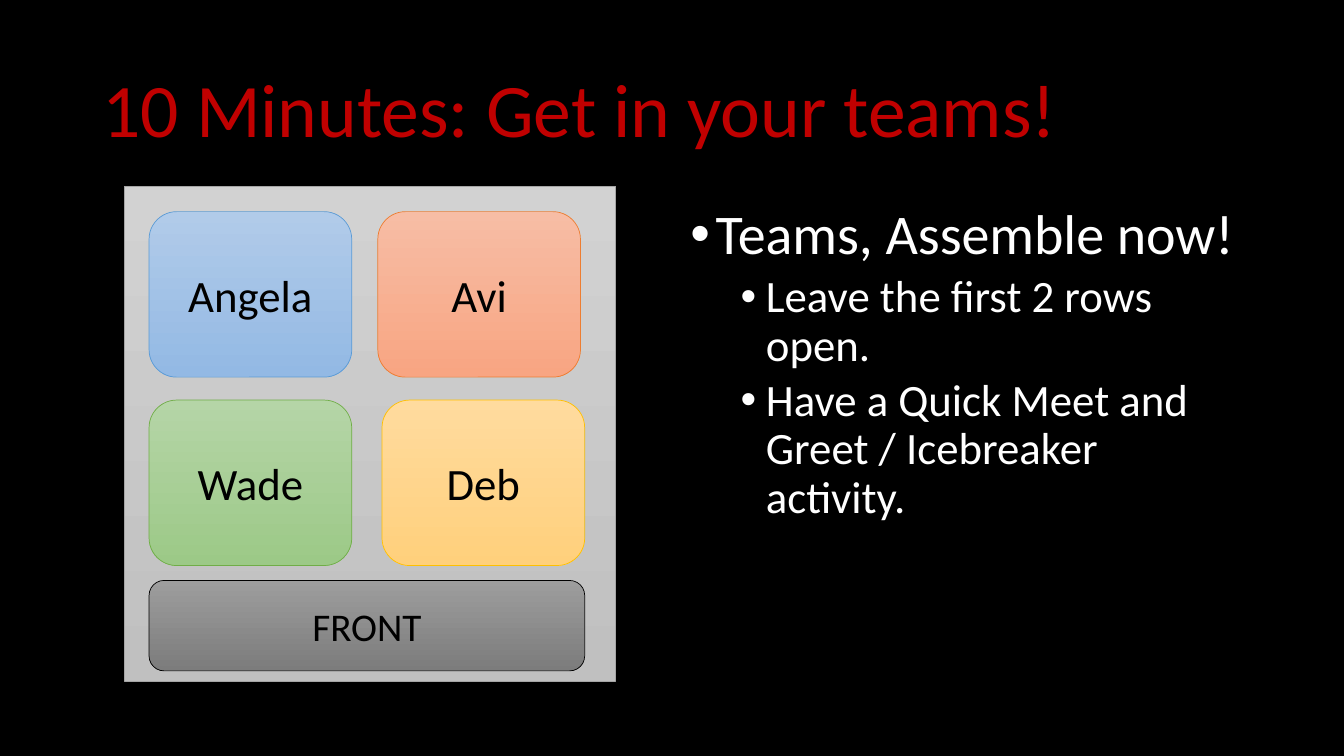
from lxml import etree
from pptx import Presentation
from pptx.dml.color import RGBColor
from pptx.enum.shapes import MSO_SHAPE
from pptx.enum.text import MSO_ANCHOR, MSO_AUTO_SIZE, PP_ALIGN
from pptx.oxml.ns import qn
from pptx.util import Pt

RECTANGLE = MSO_SHAPE.RECTANGLE
ROUNDED = MSO_SHAPE.ROUNDED_RECTANGLE
MIDDLE = MSO_ANCHOR.MIDDLE
LEFT, CENTER = PP_ALIGN.LEFT, PP_ALIGN.CENTER
NO_AUTOFIT = MSO_AUTO_SIZE.NONE

# Each gradient: top, bottom, outline
THEME = {
    "font": "Calibri",
    "background": "000000", "title": "C00000", "body": "FFFFFF", "label": "000000",
    "room": ("D2D2D2", "C0C0C0", "A5A5A5"),
    "blue": ("B1CBE9", "93B9E4", "5B9BD5"),
    "orange": ("F7BDA5", "F8A582", "ED7D31"),
    "green": ("B5D5A7", "9CC987", "70AD47"),
    "yellow": ("FFDB9E", "FFD07C", "FFC000"),
    "front": ("9D9D9D", "7C7C7C", "000000"),
    "title_size": 54, "body_sizes": (40, 32), "team_size": 32, "front_size": 28,
}


def add_run(paragraph, text, size, color):
    run = paragraph.add_run()
    run.text = text
    run.font.name = THEME["font"]
    run.font.size = Pt(size)
    run.font.color.rgb = RGBColor.from_string(color)


def add_block(kind, left, top, width, height, colors, label="", size=0):
    shape = slide.shapes.add_shape(kind, Pt(left), Pt(top), Pt(width), Pt(height))
    shape.shadow.inherit = False
    top_color, bottom_color, outline = colors
    shape.fill.gradient()
    shape.fill.gradient_angle = 270
    for stop, color in zip(shape.fill.gradient_stops, (top_color, bottom_color)):
        stop.color.rgb = RGBColor.from_string(color)
    shape.line.color.rgb = RGBColor.from_string(outline)
    shape.line.width = Pt(0.5)
    if label:
        shape.text_frame.vertical_anchor = MIDDLE
        paragraph = shape.text_frame.paragraphs[0]
        paragraph.alignment = CENTER
        add_run(paragraph, label, size, THEME["label"])


presentation = Presentation()
presentation.slide_width, presentation.slide_height = Pt(960), Pt(540)
slide = presentation.slides.add_slide(presentation.slide_layouts[5])
slide.background.fill.solid()
slide.background.fill.fore_color.rgb = RGBColor.from_string(THEME["background"])

# Title
title = slide.shapes.title
title.left, title.top, title.width, title.height = Pt(66), Pt(28.8), Pt(828), Pt(104.4)
title.text_frame.vertical_anchor = MIDDLE
title.text_frame.auto_size = NO_AUTOFIT
paragraph = title.text_frame.paragraphs[0]
paragraph.alignment = LEFT
paragraph.line_spacing = 0.9
add_run(paragraph, "10 Minutes: Get in your teams!", THEME["title_size"], THEME["title"])

# Instructions
instructions = slide.shapes.add_textbox(Pt(486), Pt(144), Pt(408), Pt(342.7))
frame = instructions.text_frame
frame.word_wrap = True
items = [
    (0, "Teams, Assemble now!"),
    (1, "Leave the first 2 rows open."),
    (1, "Have a Quick Meet and Greet / Icebreaker activity."),
]
for index, (level, text) in enumerate(items):
    paragraph = frame.add_paragraph() if index else frame.paragraphs[0]
    paragraph.level = level
    paragraph.line_spacing = 0.9
    paragraph.space_before = Pt((10, 5)[level])
    properties = paragraph._p.get_or_add_pPr()
    properties.set("marL", str(Pt(18 + 36 * level)))
    properties.set("indent", str(Pt(-18)))
    etree.SubElement(properties, qn("a:buFont")).set("typeface", "Arial")
    etree.SubElement(properties, qn("a:buChar")).set("char", "•")
    add_run(paragraph, text, THEME["body_sizes"][level], THEME["body"])

# Room with the team areas
add_block(RECTANGLE, 89.2, 133.2, 350.6, 353.5, THEME["room"])
teams = [
    ("Angela", 106.5, 151.2, "blue"),
    ("Avi", 269.9, 151.2, "orange"),
    ("Wade", 106.5, 285.8, "green"),
    ("Deb", 272.9, 285.8, "yellow"),
]
for name, left, top, color in teams:
    add_block(ROUNDED, left, top, 144.8, 118.2, THEME[color], name, THEME["team_size"])

# Front of the room
add_block(ROUNDED, 106.5, 414.6, 311.2, 64.6, THEME["front"], "FRONT", THEME["front_size"])

presentation.save("out.pptx")
